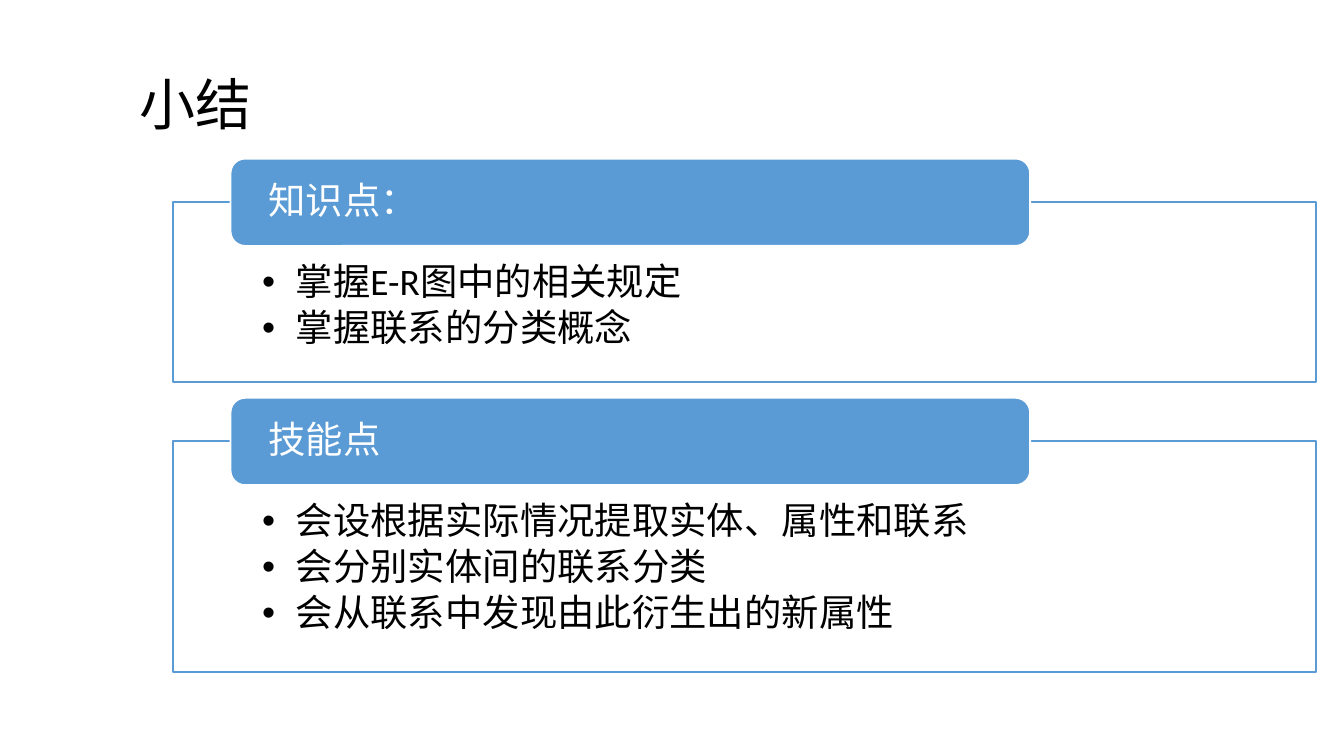
import pptx
import pptx.util
import pptx.dml.color
import pptx.enum.shapes
import pptx.enum.text
import pptx.oxml
import pptx.oxml.ns
from dataclasses import dataclass

Inches, Pt = pptx.util.Inches, pptx.util.Pt
RGB = pptx.dml.color.RGBColor.from_string
ANCHOR = pptx.enum.text.MSO_ANCHOR
ALIGN = pptx.enum.text.PP_ALIGN


@dataclass(frozen=True)
class Theme:
    accent: str = "5B9BD5"
    ink: str = "000000"
    paper: str = "FFFFFF"
    heading_font: str = "Noto Sans CJK SC"
    body_font: str = "Calibri"
    heading_size: int = 30
    body_size: int = 20
    line_width: int = 1


THEME = Theme()
HEADING = "小结"
SECTIONS = [
    ("知识点：", ["掌握E-R图中的相关规定", "掌握联系的分类概念"]),
    ("技能点", [
        "会设根据实际情况提取实体、属性和联系",
        "会分别实体间的联系分类",
        "会从联系中发现由此衍生出的新属性",
    ]),
]

WIDTH = 10
HEIGHT = WIDTH * 9 / 16
FRAME_LEFT, FRAME_WIDTH = 1.29, 8.5
FIRST_FRAME_TOP, FRAME_GAP = 1.5, 0.44
FRAME_BASE, ROW_HEIGHT = 0.58, 0.38
TAB_HEIGHT, TAB_RISE = 0.65, 0.32
TAB_LEFT = FRAME_LEFT + FRAME_WIDTH * 0.05
TAB_WIDTH = FRAME_WIDTH * 0.7
BULLET_INDENT = 0.25


def place(shape, left, top, width, height):
    shape.left, shape.top = Inches(left), Inches(top)
    shape.width, shape.height = Inches(width), Inches(height)


def paint(shape, fill, line):
    shape.fill.solid()
    shape.fill.fore_color.rgb = RGB(fill)
    shape.line.color.rgb = RGB(line)
    shape.line.width = Pt(THEME.line_width)


def write(shape, text, font, size, color, anchor, insets=(0.1, 0.05), space_after=0):
    frame = shape.text_frame
    frame.text = text
    frame.word_wrap = True
    frame.auto_size = pptx.enum.text.MSO_AUTO_SIZE.NONE
    frame.vertical_anchor = anchor
    frame.margin_left = frame.margin_right = Inches(insets[0])
    frame.margin_top = frame.margin_bottom = Inches(insets[1])
    for paragraph in frame.paragraphs:
        paragraph.alignment = ALIGN.LEFT
        paragraph.line_spacing = 0.9
        paragraph.space_before = Pt(0)
        paragraph.space_after = Pt(space_after)
        for run in paragraph.runs:
            run.font.name = font
            run.font.size = Pt(size)
            run.font.color.rgb = RGB(color)
            east_asian = pptx.oxml.parse_xml(
                f'<a:ea {pptx.oxml.ns.nsdecls("a")} typeface="{font}"/>')
            run.font._element.find(pptx.oxml.ns.qn("a:latin")).addnext(east_asian)


def indent_bullets(shape):
    for paragraph in shape.text_frame.paragraphs:
        properties = paragraph._p.get_or_add_pPr()
        properties.set("marL", str(Inches(BULLET_INDENT)))
        properties.set("indent", str(-Inches(BULLET_INDENT)))


def main():
    deck = pptx.Presentation()
    deck.slide_width, deck.slide_height = Inches(WIDTH), Inches(HEIGHT)
    slide = deck.slides.add_slide(deck.slide_layouts.get_by_name("Two Content"))

    heading = slide.shapes.title
    place(heading, 0.94, 0.45, 8.62, 0.7)
    write(heading, HEADING, THEME.heading_font, THEME.heading_size, THEME.ink,
          ANCHOR.MIDDLE)

    frame_top = FIRST_FRAME_TOP
    for number, (label, points) in enumerate(SECTIONS, start=1):
        frame_height = FRAME_BASE + ROW_HEIGHT * len(points)
        points_box = slide.placeholders[number]
        place(points_box, FRAME_LEFT, frame_top, FRAME_WIDTH, frame_height)
        paint(points_box, THEME.paper, THEME.accent)
        write(points_box, "\n".join(points), THEME.body_font, THEME.body_size,
              THEME.ink, ANCHOR.TOP, (0.66, 0.46), THEME.body_size * 0.15)
        points_box.text_frame.margin_bottom = Inches(0.16)
        indent_bullets(points_box)

        tab = slide.shapes.add_shape(
            pptx.enum.shapes.MSO_SHAPE.ROUNDED_RECTANGLE,
            Inches(TAB_LEFT), Inches(frame_top - TAB_RISE),
            Inches(TAB_WIDTH), Inches(TAB_HEIGHT))
        tab.shadow.inherit = False
        paint(tab, THEME.accent, THEME.paper)
        write(tab, label, THEME.body_font, THEME.body_size, THEME.paper,
              ANCHOR.MIDDLE, (0.25, 0))
        frame_top += frame_height + FRAME_GAP

    deck.save("out.pptx")


if __name__ == "__main__":
    main()
